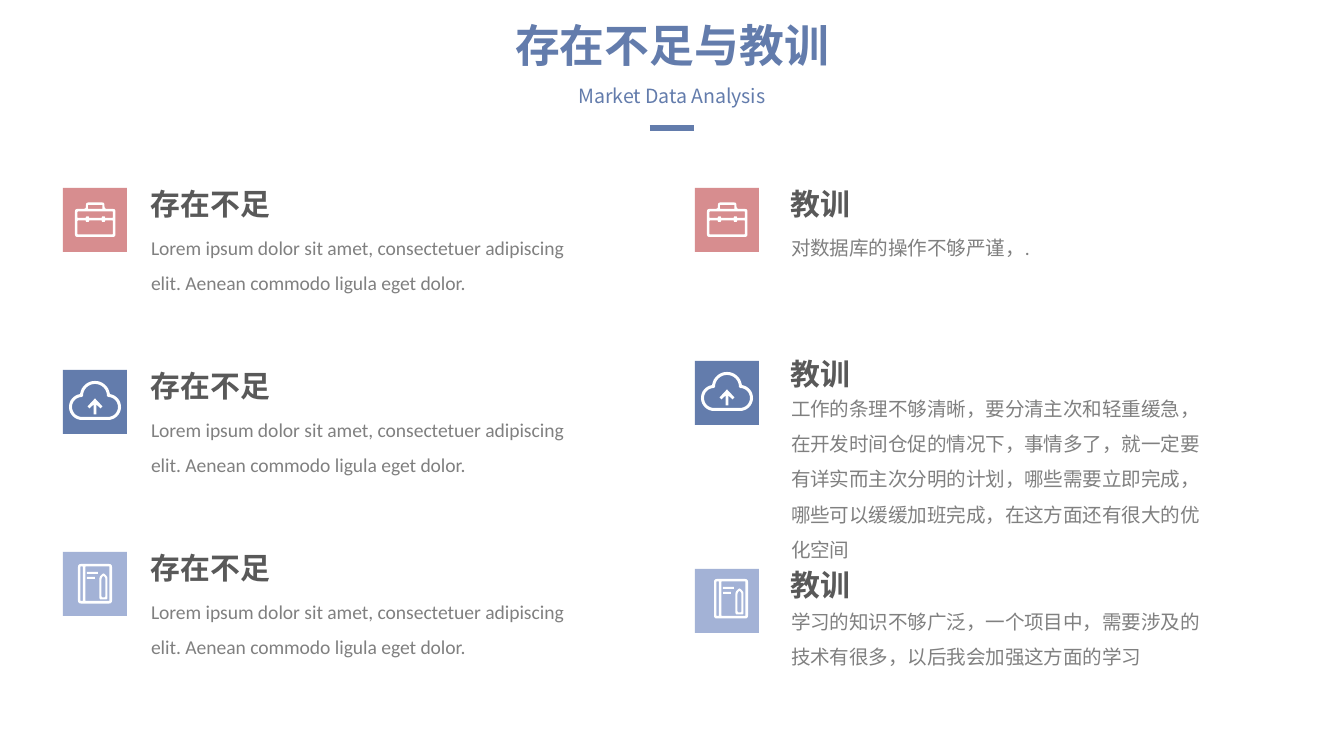
import math

from lxml import etree
from pptx import Presentation
from pptx.dml.color import RGBColor
from pptx.enum.shapes import MSO_CONNECTOR, MSO_SHAPE
from pptx.enum.text import PP_ALIGN
from pptx.oxml.ns import qn
from pptx.util import Pt

PIXEL = 914400 / 134.4
RECTANGLE = MSO_SHAPE.RECTANGLE
STRAIGHT = MSO_CONNECTOR.STRAIGHT
LEFT, CENTER = PP_ALIGN.LEFT, PP_ALIGN.CENTER
CJK_FONT, LATIN_FONT = "Noto Sans CJK SC", "Calibri"
PINK, BLUE, LAVENDER = "D78D8F", "637CAC", "A3B2D6"
WHITE, DARK, GRAY = "FFFFFF", "595959", "808080"
TILE = 64

LOREM = ("Lorem ipsum dolor sit amet, consectetuer adipiscing elit. "
         "Aenean commodo ligula eget dolor.")
LESSONS = [
    (188, 181, 219, 48, "对数据库的操作不够严谨，."),
    (361, 351, 380, 192,
     "工作的条理不够清晰，要分清主次和轻重缓急，在开发时间仓促的情况下，"
     "事情多了，就一定要有详实而主次分明的计划，哪些需要立即完成，"
     "哪些可以缓缓加班完成，在这方面还有很大的优化空间"),
    (569, 562, 593, 85,
     "学习的知识不够广泛，一个项目中，需要涉及的技术有很多，以后我会加强这方面的学习"),
]


def px(length):
    """Turn pixels into EMU."""
    return round(length * PIXEL)


def color(value):
    """Turn a hex string into a colour."""
    return RGBColor.from_string(value)


def paint(shape, fill):
    """Give a shape a plain fill without line or shadow."""
    shape.shadow.inherit = False
    shape.fill.solid()
    shape.fill.fore_color.rgb = color(fill)
    shape.line.fill.background()


def add_box(slide, left, top, width, height, fill):
    """Add a filled rectangle."""
    box = slide.shapes.add_shape(RECTANGLE, px(left), px(top), px(width), px(height))
    paint(box, fill)


def add_text(slide, frame, text, size, font, ink, bold=False, align=LEFT, spacing=1.0):
    """Add a wrapped text box with one formatted paragraph."""
    box = slide.shapes.add_textbox(*map(px, frame))
    text_frame = box.text_frame
    text_frame.word_wrap = True
    text_frame.margin_left = text_frame.margin_right = px(10)
    text_frame.margin_top = text_frame.margin_bottom = px(5)
    text_frame.text = text
    paragraph = text_frame.paragraphs[0]
    paragraph.alignment = align
    paragraph.line_spacing = spacing
    run = paragraph.runs[0]
    run.font.size = Pt(size)
    run.font.bold = bold
    run.font.color.rgb = color(ink)
    run.font.name = font
    east_asian = etree.SubElement(run.font._element, qn("a:ea"))
    east_asian.set("typeface", CJK_FONT)


def add_rule(slide, left, right, top):
    """Add the short line under the title."""
    rule = slide.shapes.add_connector(STRAIGHT, px(left), px(top), px(right), px(top))
    rule.line.color.rgb = color(BLUE)
    rule.line.width = Pt(3)
    etree.SubElement(rule._element.spPr, qn("a:effectLst"))


def add_outline(slide, left, top, contours):
    """Add a white freeform whose inner contours are holes."""
    paths = [[((left + x) * 10, (top + y) * 10) for x, y in contour] for contour in contours]
    builder = slide.shapes.build_freeform(*paths[0][0], scale=PIXEL / 10)
    builder.add_line_segments(paths[0][1:])
    for path in paths[1:]:
        builder.move_to(*path[0])
        builder.add_line_segments(path[1:])
    paint(builder.convert_to_shape(), WHITE)


def rounded(points, radius):
    """Round every corner of a polygon."""
    result = []
    for index, corner in enumerate(points):
        before, after = points[index - 1], points[(index + 1) % len(points)]
        start, end = (
            [c + (n - c) * min(radius / math.dist(corner, near), 0.5)
             for c, n in zip(corner, near)]
            for near in (before, after))
        for t in (0, 0.25, 0.5, 0.75, 1):
            result.append(tuple((1 - t) ** 2 * s + 2 * t * (1 - t) * c + t * t * e
                                for s, c, e in zip(start, corner, end)))
    return result + result[:1]


def rectangle(left, top, right, bottom, radius=0.5):
    """Return a rounded rectangle contour."""
    return rounded([(left, top), (right, top), (right, bottom), (left, bottom)], radius)


def arc(x, y, radius, start, end):
    """Return points along a circular arc, in degrees."""
    angles = [math.radians(start + (end - start) * step / 16) for step in range(17)]
    return [(x + radius * math.cos(a), y + radius * math.sin(a)) for a in angles]


def cloud(lobe, dome, overlap):
    """Return a cloud contour from two lobes and a dome."""
    points = (arc(19, 37, lobe, 90, 270 - overlap)
              + arc(32, 26, dome, 180 + overlap, 360 - overlap)
              + arc(45, 37, lobe, overlap - 90, 90))
    return points + points[:1]


def notched(edge, far, notch):
    """Return a briefcase compartment with two latch notches."""
    return rounded([(14.5, far), (50, far), (50, edge), (42, edge), (42, notch),
                    (39, notch), (39, edge), (26, edge), (26, notch), (23, notch),
                    (23, edge), (14.5, edge)], 0.7)


def draw_briefcase(slide, left, top):
    """Draw the briefcase icon."""
    silhouette = rounded([(12, 21), (23, 21), (23, 14.5), (41.5, 14.5), (41.5, 21),
                          (52.5, 21), (52.5, 49), (12, 49)], 2.5)
    add_outline(slide, left, top, [silhouette, rectangle(25, 17, 39.5, 21),
                                   notched(30, 23.5, 28.5), notched(32.5, 46.5, 34)])


def draw_cloud(slide, left, top):
    """Draw the cloud icon with its upward arrow."""
    half = [(24.5, 36.5), (26.5, 38.5), (30.7, 34.5), (30.7, 44.5)]
    arrow = half + [(64 - x, y) for x, y in reversed(half)] + [(32, 28.5)]
    add_outline(slide, left, top, [arrow + arrow[:1]])
    add_outline(slide, left, top, [cloud(13, 15, 8), cloud(10, 12, 0)])


def draw_notebook(slide, left, top):
    """Draw the notebook icon with its pencil."""
    add_outline(slide, left, top, [rectangle(15, 12, 49, 51.5, 3),
                                   rectangle(17.5, 14.5, 20, 49),
                                   rectangle(22.5, 14.5, 46.5, 49)])
    for line_top, width in ((20, 11), (25, 8)):
        add_box(slide, left + 24, top + line_top, width, 2, WHITE)
    pencils = [rounded([(x, y), (40.5, tip), (81 - x, y), (81 - x, end), (x, end)], 1.5)
               for x, y, tip, end in ((36.5, 25, 21, 47.5), (38.5, 26, 23.5, 45.5))]
    add_outline(slide, left, top, pencils)


def add_entry(slide, left, tops, heading, body, body_height):
    """Add the heading and body of one entry."""
    heading_top, body_top = tops
    add_text(slide, (left, heading_top, 211, 50), heading, 16, CJK_FONT, DARK, bold=True)
    add_text(slide, (left, body_top, 435, body_height), body, 10.5, LATIN_FONT, GRAY,
             spacing=1.5)


def main():
    """Build the slide."""
    presentation = Presentation()
    presentation.slide_width, presentation.slide_height = px(1344), px(756)
    slide = presentation.slides.add_slide(presentation.slide_layouts[6])
    add_text(slide, (439, 13, 466, 67), "存在不足与教训", 24, CJK_FONT, BLUE,
             bold=True, align=CENTER)
    add_text(slide, (541, 79, 262, 38), "Market Data Analysis", 10.5, CJK_FONT, BLUE,
             align=CENTER)
    add_rule(slide, 650, 694, 128)

    icons = [(PINK, draw_briefcase, 0, 0), (BLUE, draw_cloud, 0, 0),
             (LAVENDER, draw_notebook, 4, -2)]
    for row, (icon, lesson) in enumerate(zip(icons, LESSONS)):
        fill, draw, shift_x, shift_y = icon
        tile_top, heading_top, body_top, body_height, body = lesson
        offset = row * 182
        add_box(slide, 63, 188 + offset, TILE, TILE, fill)
        draw(slide, 63, 188 + offset)
        add_entry(slide, 141, (181 + offset, 219 + offset), "存在不足", LOREM, 81)
        add_box(slide, 695, tile_top, TILE, TILE, fill)
        draw(slide, 695 + shift_x, tile_top + shift_y)
        add_entry(slide, 781, (heading_top, body_top), "教训", body, body_height)
    presentation.save("out.pptx")


main()
